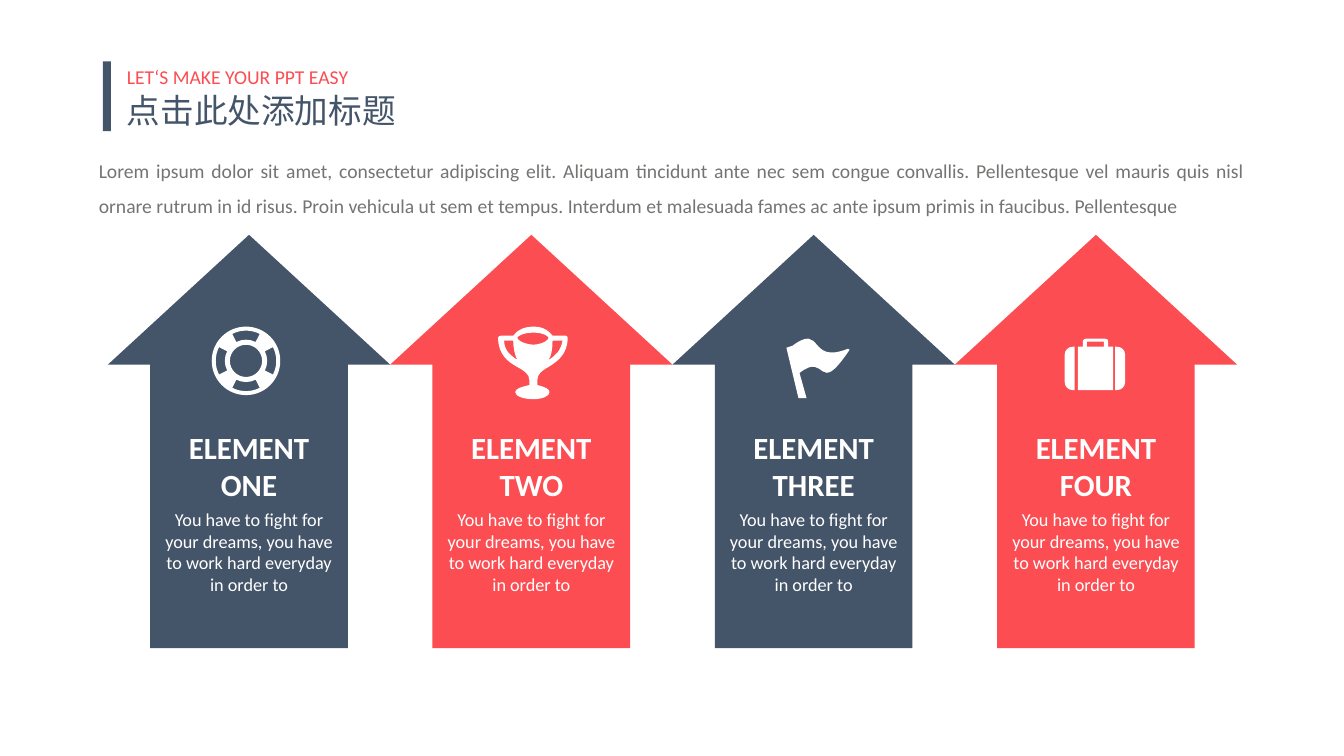
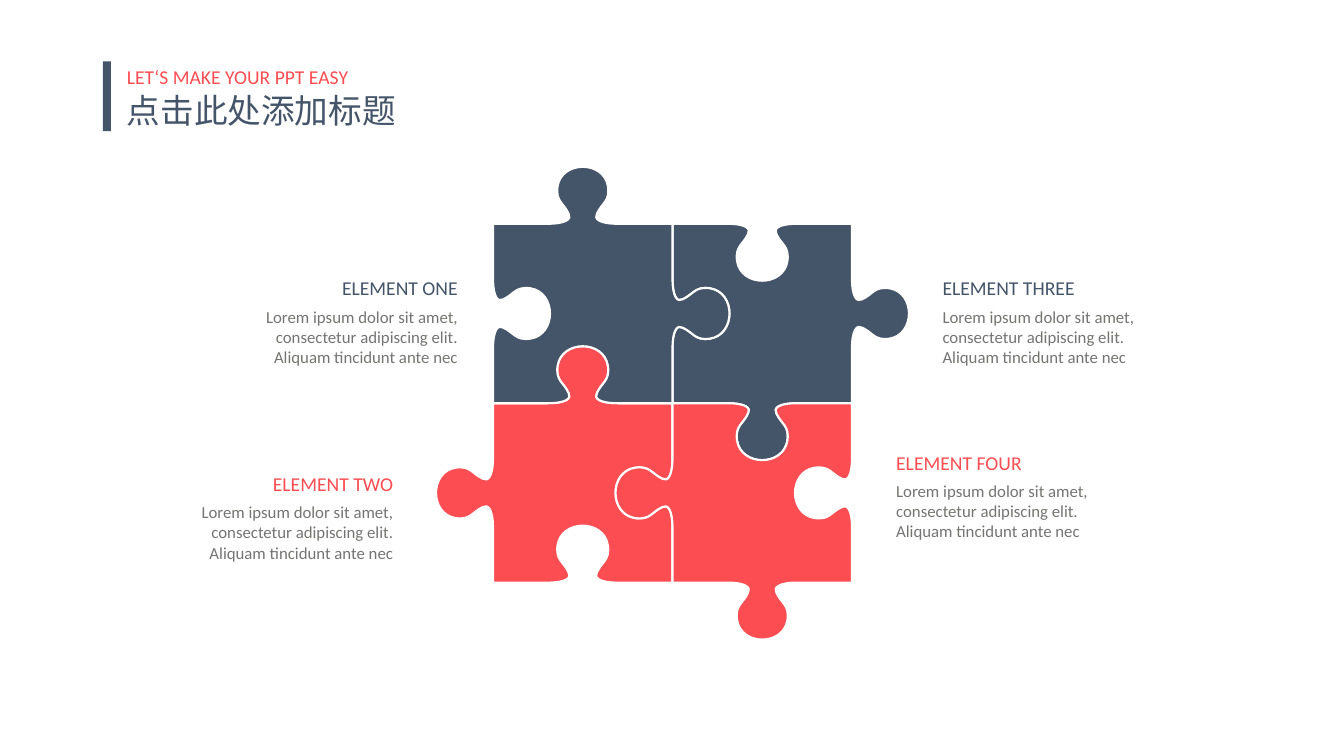
import math

import pptx
import pptx.dml.color
import pptx.enum.shapes
import pptx.enum.text
import pptx.oxml.ns
import pptx.util

UNIT = 9144
NAVY, RED, GREY, WHITE = "445469", "FB4D52", "737572", "FFFFFF"
FONT = "Calibri"
ALIGN = pptx.enum.text.PP_ALIGN
SHAPE = pptx.enum.shapes.MSO_SHAPE
LOREM = "Lorem ipsum dolor sit amet, consectetur adipiscing elit. Aliquam tincidunt ante nec"
INTRO = (LOREM + " sem congue convallis. Pellentesque vel mauris quis nisl ornare rutrum in id risus."
         " Proin vehicula ut sem et tempus. Interdum et malesuada fames ac ante ipsum primis"
         " in faucibus. Pellentesque")
DREAM = "You have to fight for your dreams, you have to work hard everyday in order to"
NAMES = ["ELEMENT ONE", "ELEMENT TWO", "ELEMENT THREE", "ELEMENT FOUR"]
CELL = 178

TROPHY = [
    [(39, 53), (39, 47, 43, 44, 50, 40), (58, 35, 69, 28, 69, 11), (69, 10, 68, 9, 67, 9),
     (54, 9), (51, 5, 46, 0, 35, 0), (24, 0, 18, 5, 15, 9), (3, 9), (1, 9, 0, 10, 0, 11),
     (0, 28, 10, 35, 19, 40), (26, 44, 31, 47, 31, 53), (31, 58), (22, 60, 17, 62, 17, 65),
     (17, 69, 25, 72, 35, 72), (44, 72, 51, 69, 51, 65), (51, 62, 47, 60, 39, 58)],
    [(50, 33), (53, 29, 54, 22, 54, 14), (64, 14), (62, 24, 57, 29, 50, 33)],
    [(35, 6), (46, 6, 50, 10, 50, 11), (50, 13, 46, 17, 35, 18),
     (24, 17, 19, 13, 19, 11), (19, 10, 24, 6, 35, 6)],
    [(6, 14), (15, 14), (15, 22, 17, 29, 19, 33), (13, 29, 6, 24, 6, 14)],
]
FLAG = [
    [(61, 26), (21, 42, 37, 0, 6, 23), (0, 25), (12, 75), (20, 75), (13, 50),
     (41, 28, 30, 75, 62, 28), (64, 28, 62, 26, 61, 26)],
]
CASE = [
    [(10, 51), (8, 51), (4, 51, 0, 48, 0, 43), (0, 16), (0, 11, 4, 8, 8, 8), (10, 8)],
    [(48, 51), (13, 51), (13, 8), (18, 8), (18, 2), (18, 1, 20, 0, 21, 0), (40, 0),
     (42, 0, 43, 1, 43, 2), (43, 8), (48, 8)],
    [(39, 8), (39, 3), (22, 3), (22, 8)],
    [(50, 51), (52, 51), (56, 51, 60, 48, 60, 43), (60, 16), (60, 11, 56, 8, 52, 8), (50, 8)],
]
EDGE = [
    (54, 0), (73, 0, 78, 5, 75, 10), (70, 21, 62, 22, 64, 37),
    (68, 63, 110, 63, 114, 37), (116, 22, 108, 21, 103, 10), (100, 5, 105, 0, 124, 0), (CELL, 0),
]


def px(size):
    """Turn px into EMU."""
    return pptx.util.Emu(round(size * UNIT))


def color(code):
    """Turn a hex string into a colour."""
    return pptx.dml.color.RGBColor.from_string(code)


def paint(shape, fill, line=None):
    """Give a shape its fill and line, without a shadow."""
    shape.shadow.inherit = False
    shape.fill.solid()
    shape.fill.fore_color.rgb = color(fill)
    if line:
        shape.line.color.rgb = color(line)
        shape.line.width = pptx.util.Pt(1.5)
    else:
        shape.line.fill.background()


def write(slide, box, text, size, code, align=ALIGN.LEFT, bold=False, space=None):
    """Place one paragraph of text in a box."""
    area = slide.shapes.add_textbox(*map(px, box))
    frame = area.text_frame
    frame.word_wrap = True
    frame.auto_size = pptx.enum.text.MSO_AUTO_SIZE.SHAPE_TO_FIT_TEXT
    para = frame.paragraphs[0]
    para.text = text
    para.alignment = align
    if space:
        para.line_spacing = space
    para.font.name = FONT
    para.font.size = pptx.util.Pt(size)
    para.font.bold = bold
    para.font.color.rgb = color(code)
    return frame


def pairs(step):
    """Split a line or curve step into its points."""
    return list(zip(step[::2], step[1::2]))


def curve(shape, steps):
    """Join the three lines of each curve step into one cubic curve."""
    lines = iter(list(shape.element.iter(pptx.oxml.ns.qn("a:lnTo"))))
    for step in steps:
        node = next(lines)
        if len(step) == 6:
            node.tag = pptx.oxml.ns.qn("a:cubicBezTo")
            for other in (next(lines), next(lines)):
                node.append(other[0])
                other.getparent().remove(other)


def draw(slide, x, y, loops, fill, line=None):
    """Draw closed loops of steps as one outline from a corner."""
    pen = None
    for loop in loops:
        start = [px(v) for v in loop[0]]
        if pen is None:
            pen = slide.shapes.build_freeform(*start)
        else:
            pen.move_to(*start)
        pen.add_line_segments([(px(a), px(b)) for step in loop[1:] for a, b in pairs(step)])
    shape = pen.convert_to_shape(px(x), px(y))
    curve(shape, [step for loop in loops for step in loop[1:]])
    paint(shape, fill, line)


def arc(radius, start, end):
    """Give the steps of an arc of the buoy, in degrees."""
    count = math.ceil(abs(end - start) / 90)
    turn = math.radians(end - start) / count
    pull = 4 / 3 * math.tan(turn / 4)
    steps = []
    for i in range(count + 1):
        angle = math.radians(start) + turn * i
        c, s = radius * math.cos(angle), radius * math.sin(angle)
        spot = (34 + c, 34 + s)
        if i:
            steps.append(ahead + (spot[0] + pull * s, spot[1] - pull * c) + spot)
        else:
            steps.append(spot)
        ahead = (spot[0] - pull * s, spot[1] + pull * c)
    return steps


def buoy():
    """Give the loops of a lifebuoy with four gaps."""
    gaps = [arc(30, mid - 27, mid + 27) + arc(21, mid + 27, mid - 27)
            for mid in range(0, 360, 90)]
    return [arc(34, 0, 360), arc(16, 0, 360)] + gaps


def piece(signs):
    """Give a puzzle piece with tabs (1) or holes (-1) at top, right, bottom, left."""
    x, y, dx, dy = 0, 0, 1, 0
    loop = [(0, 0)]
    for sign in signs:
        for step in EDGE:
            spots = [(x + u * dx + sign * v * dy, y + u * dy - sign * v * dx)
                     for u, v in pairs(step)]
            loop.append(sum(spots, ()))
        x, y = x + CELL * dx, y + CELL * dy
        dx, dy = -dy, dx
    return loop


def header(slide, x, y):
    """Place the bar, the title and the line over it."""
    write(slide, (x + 14, y + 31, 767, 43), "点击此处添加标题", 24, NAVY, space=0.8)
    write(slide, (x + 14, y - 2, 479, 34), "LET‘S MAKE YOUR PPT EASY", 14, RED)
    paint(slide.shapes.add_shape(SHAPE.RECTANGLE, px(x), px(y), px(8), px(69)), NAVY)


def column(slide, x, y, name, code, icon):
    """Place an arrow with its icon and texts."""
    arrow = slide.shapes.add_shape(SHAPE.UP_ARROW, px(x), px(y), px(280), px(410))
    arrow.adjustments[0], arrow.adjustments[1] = 0.7, 0.46
    paint(arrow, code)
    left, top, loops = icon
    draw(slide, x + left, y + top, loops, WHITE)
    write(slide, (x + 45, y + 187, 190, 84), name, 22, WHITE, ALIGN.CENTER, True)
    write(slide, (x + 45, y + 266, 190, 98), DREAM, 13, WHITE, ALIGN.CENTER)


def label(slide, x, y, name, code, align):
    """Place a name and the text under it."""
    write(slide, (x, y, 240, 34), name, 14, code, align)
    write(slide, (x, y + 30, 240, 71), LOREM, 12, GREY, align)


def arrows(slide):
    """Build the slide of four arrows."""
    frame = write(slide, (85, 141, 1163, 80), INTRO, 14, GREY, ALIGN.JUSTIFY, space=1.5)
    frame.vertical_anchor = pptx.enum.text.MSO_ANCHOR.MIDDLE
    frame.margin_left = frame.margin_right = px(13)
    frame.margin_top = frame.margin_bottom = px(7)
    icons = [(103, 91, buoy()), (107, 91, TROPHY), (113, 87, FLAG), (109, 103, CASE)]
    for i, (name, icon) in enumerate(zip(NAMES, icons)):
        column(slide, 107 + 280 * i, 233, name, (NAVY, RED)[i % 2], icon)
    header(slide, 102, 61)


def puzzle(slide):
    """Build the slide of four puzzle pieces."""
    pieces = [(1, 0, (-1, 1, 1, -1)), (0, 1, (1, -1, -1, 1)),
              (0, 0, (1, 1, -1, -1)), (1, 1, (-1, -1, 1, 1))]
    for col, row, signs in pieces:
        draw(slide, 489 + CELL * col, 222 + CELL * row, [piece(signs)], (NAVY, RED)[row], WHITE)
    spots = [(224, 269, ALIGN.RIGHT), (160, 463, ALIGN.RIGHT),
             (925, 269, ALIGN.LEFT), (879, 442, ALIGN.LEFT)]
    for i, (name, (x, y, align)) in enumerate(zip(NAMES, spots)):
        label(slide, x, y, name, (NAVY, RED)[i % 2], align)
    header(slide, 102, 61)


def main():
    """Build and save the slides."""
    deck = pptx.Presentation()
    deck.slide_width, deck.slide_height = px(1333), px(750)
    for build in (arrows, puzzle):
        build(deck.slides.add_slide(deck.slide_layouts[6]))
    deck.save("out.pptx")


if __name__ == "__main__":
    main()
